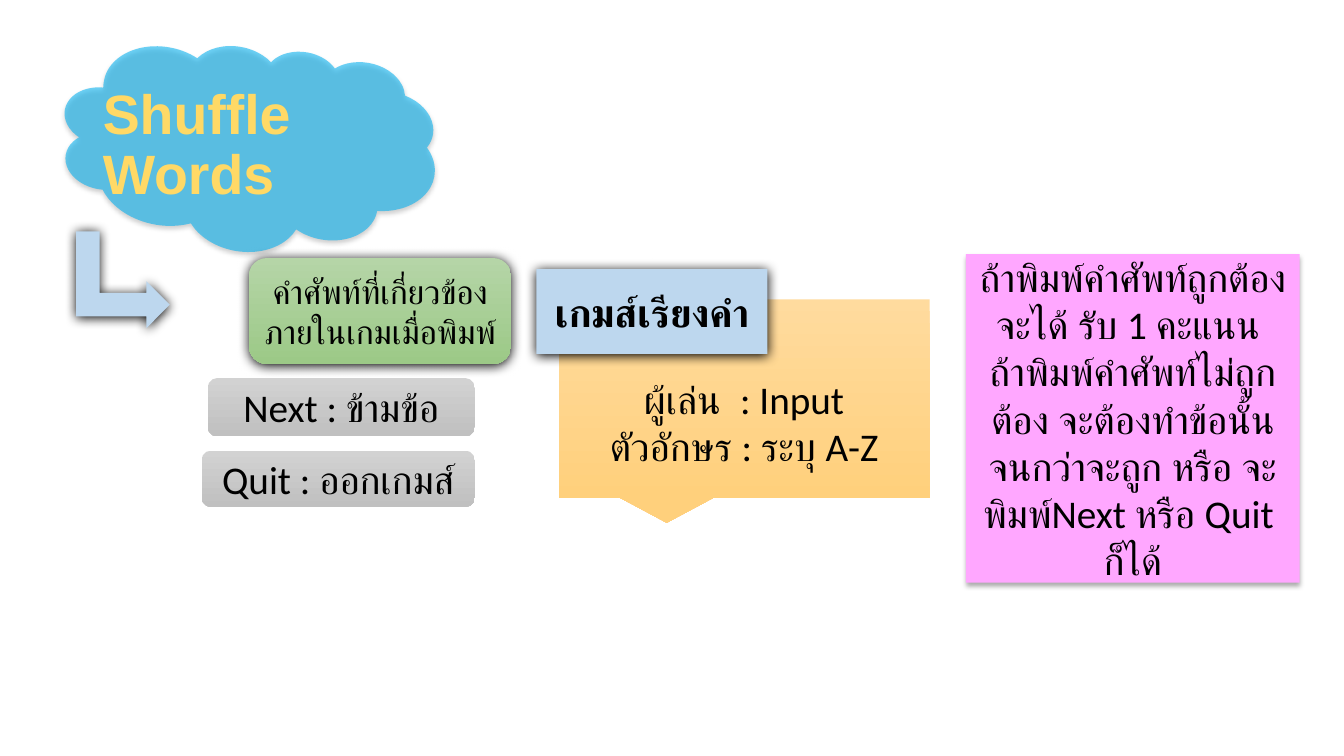
import pptx
import pptx.dml.color
import pptx.enum.shapes
import pptx.enum.text
import pptx.oxml
import pptx.oxml.ns
import pptx.util
from lxml import etree

SHAPE = pptx.enum.shapes.MSO_SHAPE
ALIGN = pptx.enum.text.PP_ALIGN
MIDDLE = pptx.enum.text.MSO_ANCHOR.MIDDLE
qn = pptx.oxml.ns.qn

deck = pptx.Presentation()
deck.slide_width = pptx.util.Inches(13.33)
deck.slide_height = pptx.util.Inches(7.5)
slide = deck.slides.add_slide(deck.slide_layouts[5])


def color(value):
    """Turn a hex string into a colour."""
    return pptx.dml.color.RGBColor.from_string(value)


def place(part, left, top, width, height):
    """Set a part's box in percent of the slide's width and height."""
    part.left = int(deck.slide_width * left / 100)
    part.top = int(deck.slide_height * top / 100)
    part.width = int(deck.slide_width * width / 100)
    part.height = int(deck.slide_height * height / 100)


# Shadows as opacity in percent, blur and distance in points
SOFT, STRONG = (32, 3.5, 2.2), (100, 8.5, 1)
GRAY, GREEN, ORANGE = ("D2D2D2", "C0C0C0"), ("B5D5A7", "9CC987"), ("FFDB9E", "FFD07C")
BLUE, PINK, SKY = ("BDD7EE",), ("FFA7FF",), ("00B0F0",)

# Preset, box, rotation, fill, shadow, text size, bold, paragraphs; back to front
parts = [
    (SHAPE.CLOUD, (4.58, 5.73, 27.9, 27.47), 9.7, SKY, SOFT, 28, False, []),
    (SHAPE.RECTANGULAR_CALLOUT, (41.56, 39.6, 27.61, 26.27), 0, ORANGE, None, 28, False,
     ["ผู้เล่น  : Input", "ตัวอักษร : ระบุ A-Z"]),
    (SHAPE.RECTANGLE, (39.91, 35.6, 17.18, 11.2), 0, BLUE, STRONG, 28, True,
     ["เกมส์เรียงคำ"]),
    (SHAPE.ROUNDED_RECTANGLE, (15.45, 50, 19.88, 7.73), 0, GRAY, None, 28, False,
     ["Next : ข้ามข้อ"]),
    (SHAPE.BENT_UP_ARROW, (5.55, 30.8, 7.2, 12.4), 90, BLUE, STRONG, 28, False, []),
    (SHAPE.RECTANGLE, (71.87, 33.6, 24.83, 43.47), 0, PINK, SOFT, 28, False,
     ["ถ้าพิมพ์คำศัพท์ถูกต้อง จะได้ รับ 1 คะแนน ",
      "ถ้าพิมพ์คำศัพท์ไม่ถูกต้อง จะต้องทำข้อนั้นจนกว่าจะถูก หรือ จะพิมพ์Next หรือ Quit  ก็ได้"]),
    (SHAPE.ROUNDED_RECTANGLE, (18.53, 34.13, 19.5, 14), 0, GREEN, STRONG, 24, False,
     ["คำศัพท์ที่เกี่ยวข้องภายในเกมเมื่อพิมพ์"]),
    (SHAPE.ROUNDED_RECTANGLE, (15, 59.6, 20.33, 7.47), 0, GRAY, None, 28, False,
     ["Quit : ออกเกมส์"]),
]

for preset, box, rotation, fill, shadow, size, bold, paragraphs in parts:
    part = slide.shapes.add_shape(preset, 0, 0, 0, 0)
    place(part, *box)
    part.rotation = rotation
    part.line.fill.background()
    part.shadow.inherit = False

    if len(fill) == 2:
        part.fill.gradient()
        part.fill.gradient_angle = 270
        for stop, shade in zip(part.fill.gradient_stops, fill):
            stop.color.rgb = color(shade)
    else:
        part.fill.solid()
        part.fill.fore_color.rgb = color(fill[0])

    if shadow:
        opacity, blur, distance = shadow
        effects = part._element.spPr.find(qn("a:effectLst"))
        outer = etree.SubElement(
            effects, qn("a:outerShdw"), blurRad=str(int(blur * 12700)),
            dist=str(int(distance * 12700)), dir="5400000", algn="t", rotWithShape="0")
        black = etree.SubElement(outer, qn("a:srgbClr"), val="000000")
        etree.SubElement(black, qn("a:alpha"), val=str(opacity * 1000))

    frame = part.text_frame
    frame.word_wrap = True
    frame.vertical_anchor = MIDDLE
    for index, words in enumerate(paragraphs):
        paragraph = frame.add_paragraph() if index else frame.paragraphs[0]
        paragraph.alignment = ALIGN.CENTER
        run = paragraph.add_run()
        run.text = words
        run.font.name = "Calibri"
        run.font.size = pptx.util.Pt(size)
        run.font.bold = bold
        run.font.color.rgb = color("000000")

    if preset == SHAPE.CLOUD:
        cloud = part
        sky = part._element.spPr.find(qn("a:solidFill"))[0]
        etree.SubElement(sky, qn("a:alpha"), val="57000")
    elif preset == SHAPE.RECTANGULAR_CALLOUT:
        # Keep the text clear of the label that overlaps the callout
        frame.margin_top = pptx.util.Inches(0.52)

title = slide.shapes.title
cloud._element.addnext(title._element)
place(title, 6.9, 11.33, 23.33, 16.13)
heading = title.text_frame
heading.word_wrap = True
heading.auto_size = pptx.enum.text.MSO_AUTO_SIZE.NONE
heading.vertical_anchor = MIDDLE
heading.paragraphs[0].alignment = ALIGN.LEFT
heading.paragraphs[0].line_spacing = 0.9
run = heading.paragraphs[0].add_run()
run.text = "Shuffle\tWords"
run.font.name = "Arial"
run.font.size = pptx.util.Pt(39.6)
run.font.bold = True
run.font.color.rgb = color("FFD966")

deck.save("out.pptx")
